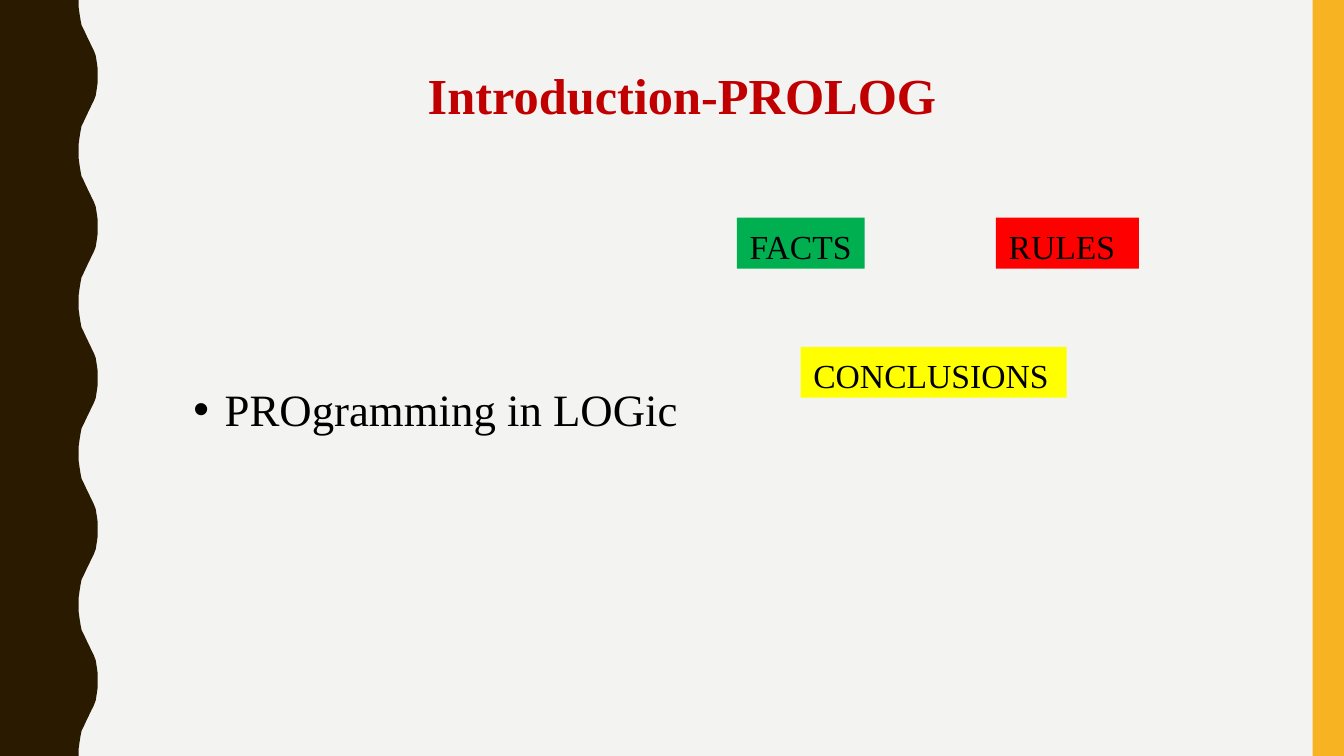
from pptx import Presentation
from pptx.dml.color import RGBColor
from pptx.enum.shapes import MSO_SHAPE as SHAPE
from pptx.enum.text import MSO_ANCHOR as ANCHOR, PP_ALIGN as ALIGN
from pptx.oxml.ns import qn
from pptx.util import Pt
from lxml.etree import SubElement

PAPER = RGBColor(0xF3, 0xF3, 0xF2)
BROWN = RGBColor(0x2A, 0x1A, 0x00)
GOLD = RGBColor(0xF8, 0xB3, 0x23)
CRIMSON = RGBColor(0xC0, 0x00, 0x00)
GREEN = RGBColor(0x00, 0xB0, 0x50)
RED = RGBColor(0xFF, 0x00, 0x00)
YELLOW = RGBColor(0xFF, 0xFF, 0x00)
BLACK = RGBColor(0x00, 0x00, 0x00)
WIDTH, HEIGHT = 960, 540


def paint(sp, color):
    sp.shadow.inherit = False
    sp.fill.solid()
    sp.fill.fore_color.rgb = color
    sp.line.fill.background()


def write(sp, text, size, color, margins, indent, align=ALIGN.LEFT, bold=False, bullet=None):
    tf = sp.text_frame
    sides = dict(zip(("margin_left", "margin_top", "margin_right", "margin_bottom"), map(Pt, margins)))
    for name, value in {"word_wrap": True, "vertical_anchor": ANCHOR.TOP, **sides}.items():
        setattr(tf, name, value)
    p = tf.paragraphs[0]
    p.alignment = align
    pPr = p._p.get_or_add_pPr()
    pPr.set("marL", str(Pt(indent)))
    if bullet:
        pPr.set("indent", str(Pt(-22.3)))
        SubElement(pPr, qn("a:buFont")).set("typeface", "Arial")
        SubElement(pPr, qn("a:buChar")).set("char", bullet)
    r = p.add_run()
    r.text = text
    for name, value in {"name": "Times New Roman", "size": Pt(size), "bold": bold}.items():
        setattr(r.font, name, value)
    r.font.color.rgb = color


prs = Presentation()
prs.slide_width, prs.slide_height = Pt(WIDTH), Pt(HEIGHT)
s = prs.slides.add_slide(prs.slide_layouts[6])
s.background.fill.solid()
s.background.fill.fore_color.rgb = PAPER

period = 108
half_wave = [
    (56.2, 0), (56.2, 5), (56.9, 10), (57.6, 14.4), (58.3, 18),
    (59.8, 21), (61.2, 24), (62.6, 27), (64.1, 30), (65.5, 33),
    (67, 36), (68.4, 39.6), (69.1, 44), (69.8, 49), (69.8, 54),
]
wave = half_wave + [(x, period - y) for x, y in reversed(half_wave[:-1])]
edge = [(x, y + top) for top in range(0, HEIGHT, period) for x, y in wave]
outline = [(Pt(x), Pt(y)) for x, y in edge + [(0, HEIGHT)]]
fb = s.shapes.build_freeform(0, 0)
fb.add_line_segments(outline, close=True)
paint(fb.convert_to_shape(), BROWN)

sp = s.shapes.add_shape(SHAPE.RECTANGLE, Pt(937.6), 0, Pt(22.4), Pt(HEIGHT))
paint(sp, GOLD)

title = s.shapes.add_textbox(Pt(179.3), Pt(39.6), Pt(622.8), Pt(46.8))
write(title, "Introduction-PROLOG ", 36, CRIMSON, (0, 6.5, 0, 0), 2, ALIGN.CENTER, True)

body = s.shapes.add_textbox(Pt(128.9), Pt(265.7), Pt(427.7), Pt(87.1))
write(body, "PROgramming in LOGic", 32, BLACK, (7.2, 7, 7.2, 3.6), 24.5, bullet="•")

labels = [
    ("FACTS", 526.3, 155.5, 91.4, GREEN),
    ("RULES", 711.4, 155.5, 102.2, RED),
    ("CONCLUSIONS", 571.9, 247.7, 190.1, YELLOW),
]
for text, left, top, width, color in labels:
    sp = s.shapes.add_shape(SHAPE.RECTANGLE, Pt(left), Pt(top), Pt(width), Pt(36.3))
    paint(sp, color)
    write(sp, text, 24, BLACK, (7.2, 5.5, 7.2, 3.6), 2)

prs.save("out.pptx")
